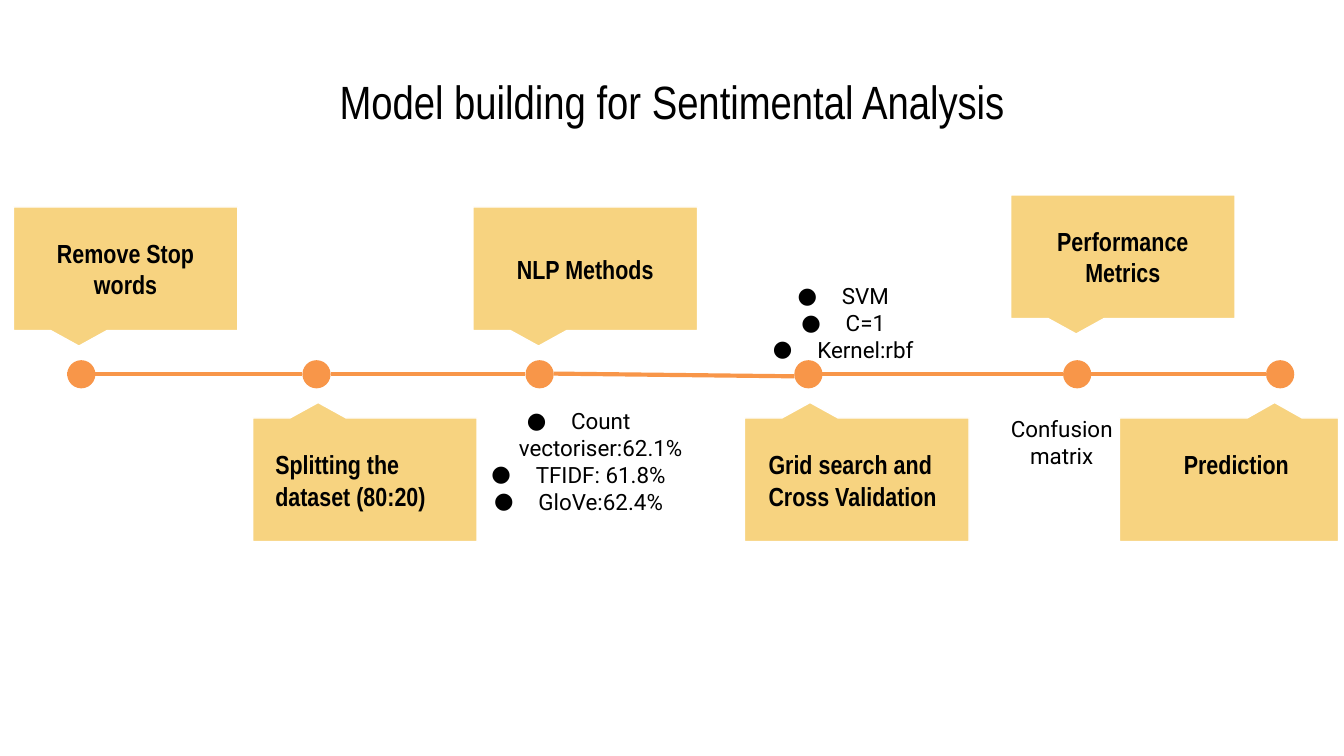
"""Build the sentiment model-building timeline slide."""
from dataclasses import dataclass

from lxml.etree import SubElement
from pptx import Presentation
from pptx.dml.color import RGBColor
from pptx.enum.shapes import MSO_CONNECTOR, MSO_SHAPE
from pptx.enum.text import MSO_ANCHOR as Anchor, PP_ALIGN as Align
from pptx.oxml.ns import qn
from pptx.slide import Slide
from pptx.text.text import TextFrame
from pptx.util import Inches, Pt

BLACK = RGBColor(0x00, 0x00, 0x00)
WHITE = RGBColor(0xFF, 0xFF, 0xFF)
ORANGE = RGBColor(0xF8, 0x96, 0x49)
YELLOW = RGBColor(0xF7, 0xD3, 0x80)
HEADING_FONT = "Arial Narrow"
DETAIL_FONT = "Roboto"
DOT_SIZE = 0.21
DOT_TOP = 2.68
LINE_Y = 2.78
CALLOUT_HEIGHT = 0.92
LOWER_TOP = 3.11
LABEL_TOP = 3.24


@dataclass(frozen=True)
class Callout:
    left: float
    top: float
    text: str = ""
    width: float = 1.67
    tip_x: float = -0.208
    tip_y: float = 0.625


@dataclass(frozen=True)
class Caption:
    left: float
    top: float
    width: float
    height: float
    lines: tuple[str, ...]
    size: int = 12
    font: str = DETAIL_FONT
    bold: bool = False
    align: Align = Align.CENTER
    anchor: Anchor = Anchor.TOP
    bulleted: bool = False


@dataclass(frozen=True)
class Segment:
    start: float
    end: float
    end_y: float = LINE_Y


DOTS = (0.5, 2.25, 3.91, 5.91, 7.91, 9.42)
SEGMENTS = (
    Segment(0.5, 2.25),
    Segment(2.46, 3.91),
    Segment(4.12, 5.91, 2.8),
    Segment(6.11, 7.91),
    Segment(8.12, 9.42),
)
CALLOUTS = (
    Callout(0.1, 1.54, "Remove Stop words"),
    Callout(3.52, 1.54, "NLP Methods"),
    Callout(7.52, 1.45, "Performance Metrics"),
    Callout(1.88, LOWER_TOP, tip_y=-0.625),
    Callout(5.54, LOWER_TOP, tip_y=-0.625),
    Callout(8.33, LOWER_TOP, width=1.63, tip_x=0.208, tip_y=-0.625),
)
TITLE = Caption(0.5, 0.49, 9, 0.57, ("Model building for Sentimental Analysis",),
                25, HEADING_FONT, anchor=Anchor.BOTTOM)
DETAILS = (
    Caption(3.03, 2.93, 2.38, 1.06,
            ("Count vectoriser:62.1%", "TFIDF: 61.8%", "GloVe:62.4%"), bulleted=True),
    Caption(5.41, 2, 1.56, 0.57, ("SVM", "C=1", "Kernel:rbf"), bulleted=True),
    Caption(7.35, 2.99, 1.1, 0.57, ("Confusion matrix",)),
)
LOWER_LABELS = tuple(
    Caption(left, LABEL_TOP, 1.5, 0.67, (text,), 14, HEADING_FONT, True, align)
    for left, text, align in (
        (1.95, "Splitting the dataset (80:20)", Align.LEFT),
        (5.62, "Grid search and Cross Validation", Align.LEFT),
        (8.45, "Prediction", Align.CENTER),
    )
)


def add_bullet(paragraph, font: str) -> None:
    properties = paragraph._p.get_or_add_pPr()
    properties.set("marL", str(Inches(0.5)))
    properties.set("indent", str(Inches(-0.33)))
    color = SubElement(properties, qn("a:buClr"))
    SubElement(color, qn("a:srgbClr"), val=str(BLACK))
    SubElement(properties, qn("a:buFont"), typeface=font)
    SubElement(properties, qn("a:buChar"), char="●")


def write(frame: TextFrame, lines: tuple[str, ...], size: int, font: str, bold: bool,
          align: Align, anchor: Anchor, bulleted: bool = False) -> None:
    frame.word_wrap = True
    frame.vertical_anchor = anchor
    frame.margin_left = frame.margin_right = Inches(0.1)
    frame.margin_top = frame.margin_bottom = Inches(0.1)
    for index, line in enumerate(lines):
        paragraph = frame.add_paragraph() if index else frame.paragraphs[0]
        paragraph.text = line
        paragraph.alignment = align
        if bulleted:
            add_bullet(paragraph, font)
        paragraph.font.size = Pt(size)
        paragraph.font.name = font
        paragraph.font.bold = bold
        paragraph.font.color.rgb = BLACK


def add_caption(slide: Slide, caption: Caption) -> None:
    box = slide.shapes.add_textbox(Inches(caption.left), Inches(caption.top),
                                   Inches(caption.width), Inches(caption.height))
    write(box.text_frame, caption.lines, caption.size, caption.font, caption.bold,
          caption.align, caption.anchor, caption.bulleted)


def add_dot(slide: Slide, left: float) -> None:
    dot = slide.shapes.add_shape(MSO_SHAPE.OVAL, Inches(left), Inches(DOT_TOP),
                                 Inches(DOT_SIZE), Inches(DOT_SIZE))
    dot.shadow.inherit = False
    dot.fill.solid()
    dot.fill.fore_color.rgb = ORANGE
    dot.line.fill.background()


def add_callout(slide: Slide, callout: Callout) -> None:
    bubble = slide.shapes.add_shape(
        MSO_SHAPE.RECTANGULAR_CALLOUT, Inches(callout.left), Inches(callout.top),
        Inches(callout.width), Inches(CALLOUT_HEIGHT))
    bubble.adjustments[0] = callout.tip_x
    bubble.adjustments[1] = callout.tip_y
    bubble.shadow.inherit = False
    bubble.fill.solid()
    bubble.fill.fore_color.rgb = YELLOW
    bubble.line.color.rgb = WHITE
    bubble.line.width = Pt(0.75)
    if callout.text:
        write(bubble.text_frame, (callout.text,), 14, HEADING_FONT, True,
              Align.CENTER, Anchor.MIDDLE)


def add_segment(slide: Slide, segment: Segment) -> None:
    line = slide.shapes.add_connector(
        MSO_CONNECTOR.STRAIGHT, Inches(segment.start), Inches(LINE_Y),
        Inches(segment.end), Inches(segment.end_y))
    line.line.color.rgb = ORANGE
    line.line.width = Pt(2.25)
    SubElement(line._element.spPr, qn("a:effectLst"))


def main() -> None:
    deck = Presentation()
    deck.slide_width = Inches(10)
    deck.slide_height = deck.slide_width * 9 // 16
    slide = deck.slides.add_slide(deck.slide_layouts[6])
    add_caption(slide, TITLE)
    for left in DOTS:
        add_dot(slide, left)
    for detail in DETAILS:
        add_caption(slide, detail)
    for callout in CALLOUTS:
        add_callout(slide, callout)
    for label in LOWER_LABELS:
        add_caption(slide, label)
    for segment in SEGMENTS:
        add_segment(slide, segment)
    deck.save("out.pptx")


if __name__ == "__main__":
    main()
